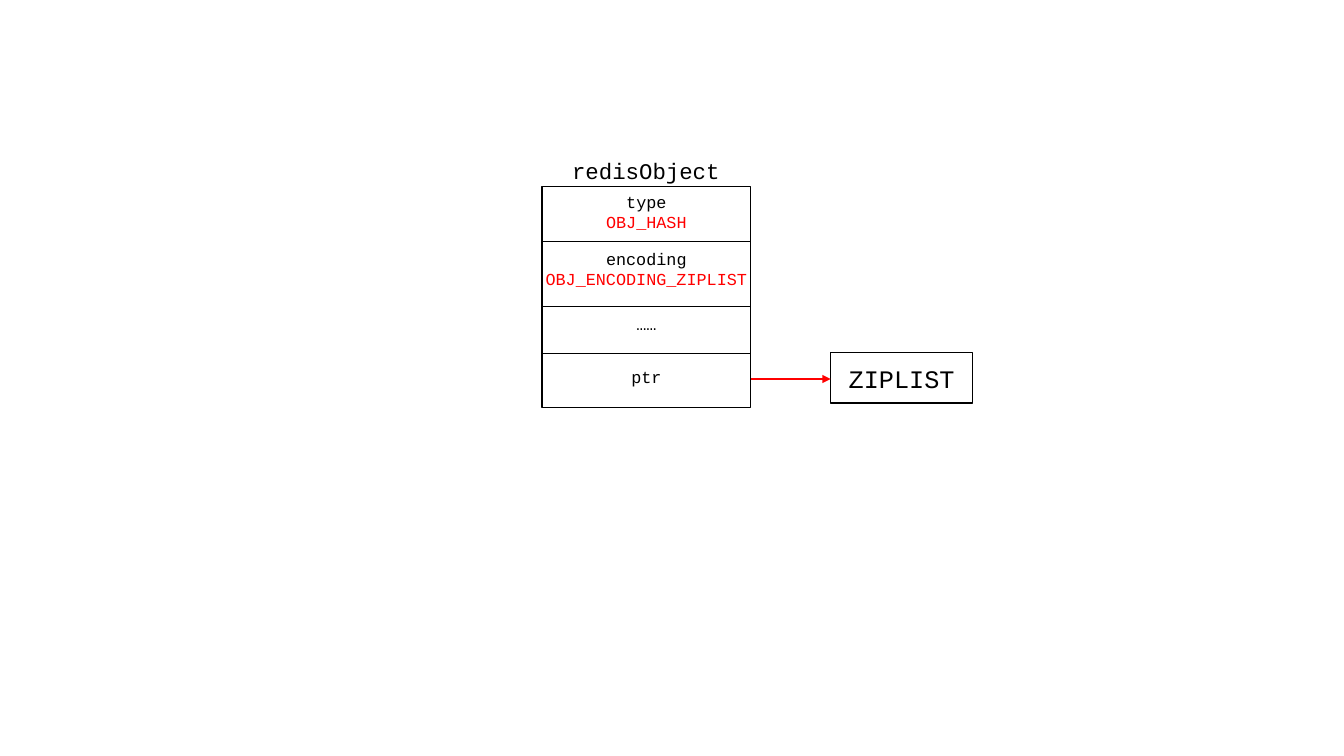
from dataclasses import dataclass
from itertools import accumulate

from lxml import etree
from pptx import Presentation
from pptx import util as u
from pptx.dml.color import RGBColor as Rgb
from pptx.enum import shapes as sh, text as tx
from pptx.oxml import ns

Pt = u.Pt


@dataclass(frozen=True)
class Theme:
    font: str = "Courier New"
    ink: str = "000000"
    paper: str = "FFFFFF"
    mark: str = "FF0000"
    small: int = 12
    head: int = 16
    large: int = 18


T = Theme()

# Field rows: height, label width, label drop, lines with colours
ROWS = [
    (38.9, 106.5, 0, [("type", T.ink), ("OBJ_HASH", T.mark)]),
    (46.8, 160, 2, [("encoding", T.ink), ("OBJ_ENCODING_ZIPLIST", T.mark)]),
    (33.8, 68, 2, [("……", T.ink)]),
    (38.2, 68, 5.7, [("ptr", T.ink)]),
]


def write(frame, lines, size=T.small, align="CENTER", anchor="TOP"):
    frame.word_wrap = True
    frame.vertical_anchor = getattr(tx.MSO_ANCHOR, anchor)
    for i, (line, color) in enumerate(lines):
        para = frame.add_paragraph() if i else frame.paragraphs[0]
        para.alignment = getattr(tx.PP_ALIGN, align)
        run = para.add_run()
        run.text = line
        run.font.name = T.font
        run.font.size = Pt(size)
        run.font.color.rgb = Rgb.from_string(color)


def label(slide, box, lines, **form):
    area = slide.shapes.add_textbox(*map(Pt, box))
    write(area.text_frame, lines, **form)


def panel(slide, box):
    rect = slide.shapes.add_shape(sh.MSO_SHAPE.RECTANGLE, *map(Pt, box))
    rect.shadow.inherit = False
    rect.fill.solid()
    rect.fill.fore_color.rgb = Rgb.from_string(T.paper)
    rect.line.color.rgb = Rgb.from_string(T.ink)
    rect.line.width = Pt(1)
    return rect


def rule(slide, ends, color=T.ink, width=0.5, arrow=False):
    line = slide.shapes.add_connector(sh.MSO_CONNECTOR.STRAIGHT, *map(Pt, ends))
    line.line.color.rgb = Rgb.from_string(color)
    line.line.width = Pt(width)
    props = line._element.spPr
    if arrow:
        etree.SubElement(props.find(ns.qn("a:ln")), ns.qn("a:tailEnd"), type="triangle")
    etree.SubElement(props, ns.qn("a:effectLst"))


def record(slide, box):
    """Struct with a heading and one row for each field."""
    x, y, w, h = box
    panel(slide, box)
    label(slide, (x + 14.4, y - 24.5, 132.5, 26.6), [("redisObject", T.ink)],
          size=T.head, align="LEFT")
    tops = accumulate((row[0] for row in ROWS), initial=y)
    for top, (_, wide, drop, lines) in zip(tops, ROWS):
        if top > y:
            rule(slide, (x, top, x + w, top))
        tall = 7.2 + 14.4 * len(lines)
        label(slide, (x + (w - wide) / 2, top + drop, wide, tall), lines)


def target(slide, box):
    """Structure that the pointer leads to."""
    rect = panel(slide, box)
    write(rect.text_frame, [("ZIPLIST", T.ink)], size=T.large, anchor="MIDDLE")


deck = Presentation()
deck.slide_width, deck.slide_height = Pt(960), Pt(540)
page = deck.slides.add_slide(deck.slide_layouts[6])

# Struct on the left, its data on the right
left = (387.2, 133.2, 149, sum(row[0] for row in ROWS))
right = (593.3, 252, 101.5, 36)
record(page, left)
target(page, right)

# Pointer from the last field to the data
level = 270.7
rule(page, (left[0] + left[2], level, right[0], level),
     color=T.mark, width=1.5, arrow=True)

deck.save("out.pptx")
